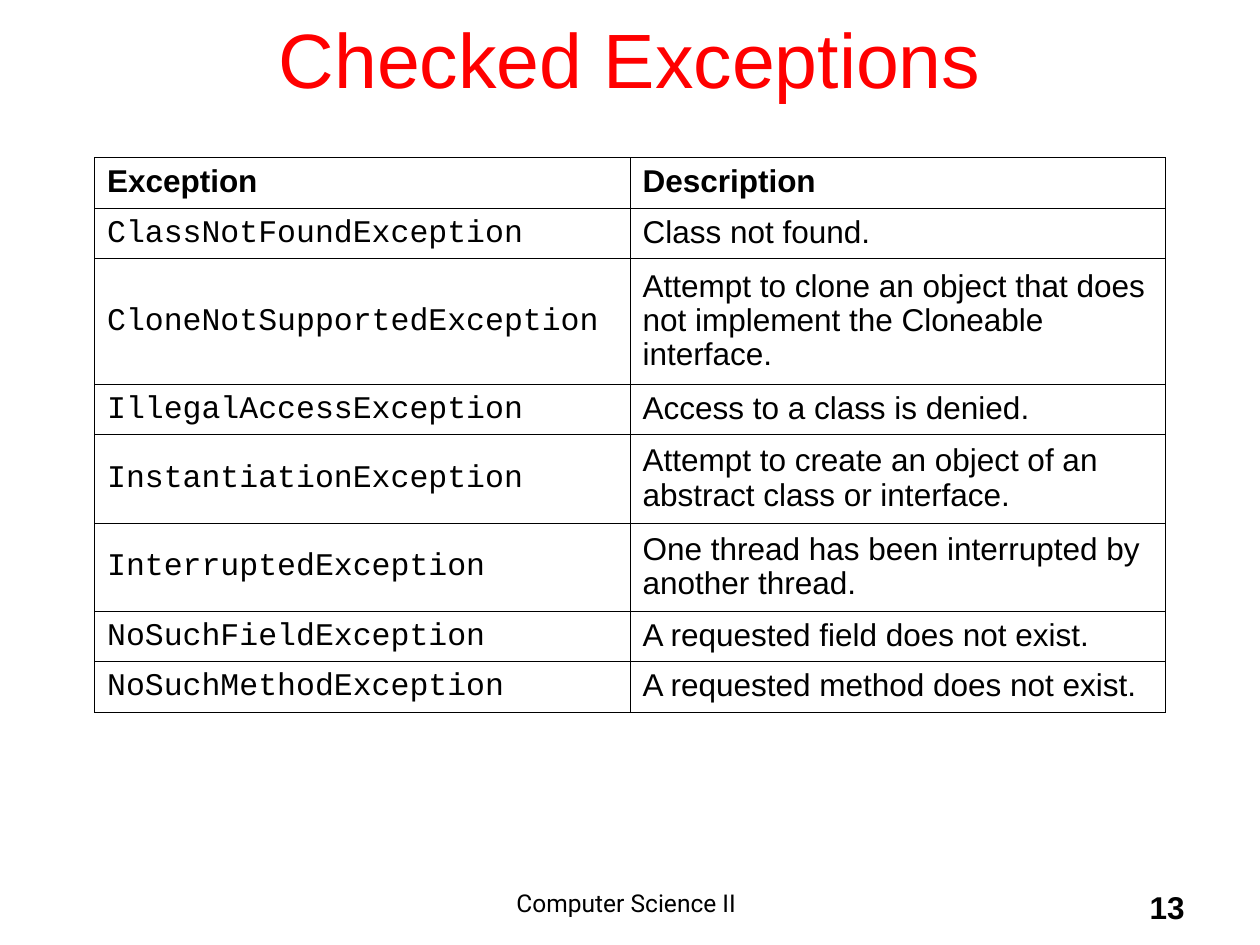
from lxml import etree
from pptx import Presentation
from pptx.dml.color import RGBColor
from pptx.enum.text import MSO_ANCHOR, PP_ALIGN
from pptx.oxml.ns import qn
from pptx.util import Inches, Pt

RED = RGBColor(0xFF, 0x00, 0x00)
BLACK = RGBColor(0x00, 0x00, 0x00)
MIDDLE = MSO_ANCHOR.MIDDLE
CENTER, RIGHT = PP_ALIGN.CENTER, PP_ALIGN.RIGHT
TITLE_ONLY = 5


def format_text(paragraph, size, font_name, color, bold=False):
    settings = {"size": Pt(size), "name": font_name, "bold": bold}
    for run in paragraph.runs:
        for key, value in settings.items():
            setattr(run.font, key, value)
        run.font.color.rgb = color


def add_borders(cell):
    properties = cell._tc.get_or_add_tcPr()
    for side in ("lnL", "lnR", "lnT", "lnB"):
        border = etree.SubElement(properties, qn(f"a:{side}"), w=str(Pt(0.45)))
        fill = etree.SubElement(border, qn("a:solidFill"))
        etree.SubElement(fill, qn("a:srgbClr"), val=str(BLACK))


prs = Presentation()
prs.slide_width, prs.slide_height = Inches(10), Inches(7.5)
slide = prs.slides.add_slide(prs.slide_layouts[TITLE_ONLY])

title = slide.shapes.title
title.left, title.top = Inches(0.75), Inches(-0.17)
title.width, title.height = Inches(8.5), Inches(1.25)
title.text_frame.text = "Checked Exceptions"
title.text_frame.vertical_anchor = MIDDLE
heading = title.text_frame.paragraphs[0]
heading.alignment = CENTER
format_text(heading, 44, "Arial", RED)

exceptions = [
    ("Exception", "Description", 0.4),
    ("ClassNotFoundException", "Class not found.", 0.4),
    ("CloneNotSupportedException",
     "Attempt to clone an object that does not implement the Cloneable interface.", 1),
    ("IllegalAccessException", "Access to a class is denied.", 0.4),
    ("InstantiationException",
     "Attempt to create an object of an abstract class or interface.", 0.7),
    ("InterruptedException", "One thread has been interrupted by another thread.", 0.7),
    ("NoSuchFieldException", "A requested field does not exist.", 0.4),
    ("NoSuchMethodException", "A requested method does not exist.", 0.4),
]
exception_table = slide.shapes.add_table(
    len(exceptions), 2, Inches(0.75), Inches(1.25), Inches(8.5), Inches(4.4)
).table
exception_table.horz_banding = False

for row, (exception, description, height) in enumerate(exceptions):
    exception_table.rows[row].height = Inches(height)
    is_header = row == 0
    for column, wording in enumerate((exception, description)):
        cell = exception_table.cell(row, column)
        cell.text = wording
        cell.vertical_anchor = MIDDLE
        add_borders(cell)
        cell.fill.background()
        font_name = "Courier New" if column == 0 and not is_header else "Arial"
        paragraph = cell.text_frame.paragraphs[0]
        paragraph.line_spacing = 0.97
        format_text(paragraph, 18, font_name, BLACK, is_header)

footers = [
    ("Computer Science II ", 3.08, 3.83, CENTER, 14, "Roboto", False),
    ("13", 7.42, 2.08, RIGHT, 18, "Arial", True),
]
for wording, left, width, alignment, size, font_name, bold in footers:
    footer = slide.shapes.add_textbox(Inches(left), Inches(7), Inches(width), Inches(0.5))
    footer.text_frame.word_wrap = True
    footer.text_frame.text = wording
    paragraph = footer.text_frame.paragraphs[0]
    paragraph.alignment = alignment
    format_text(paragraph, size, font_name, BLACK, bold)

prs.save("out.pptx")
